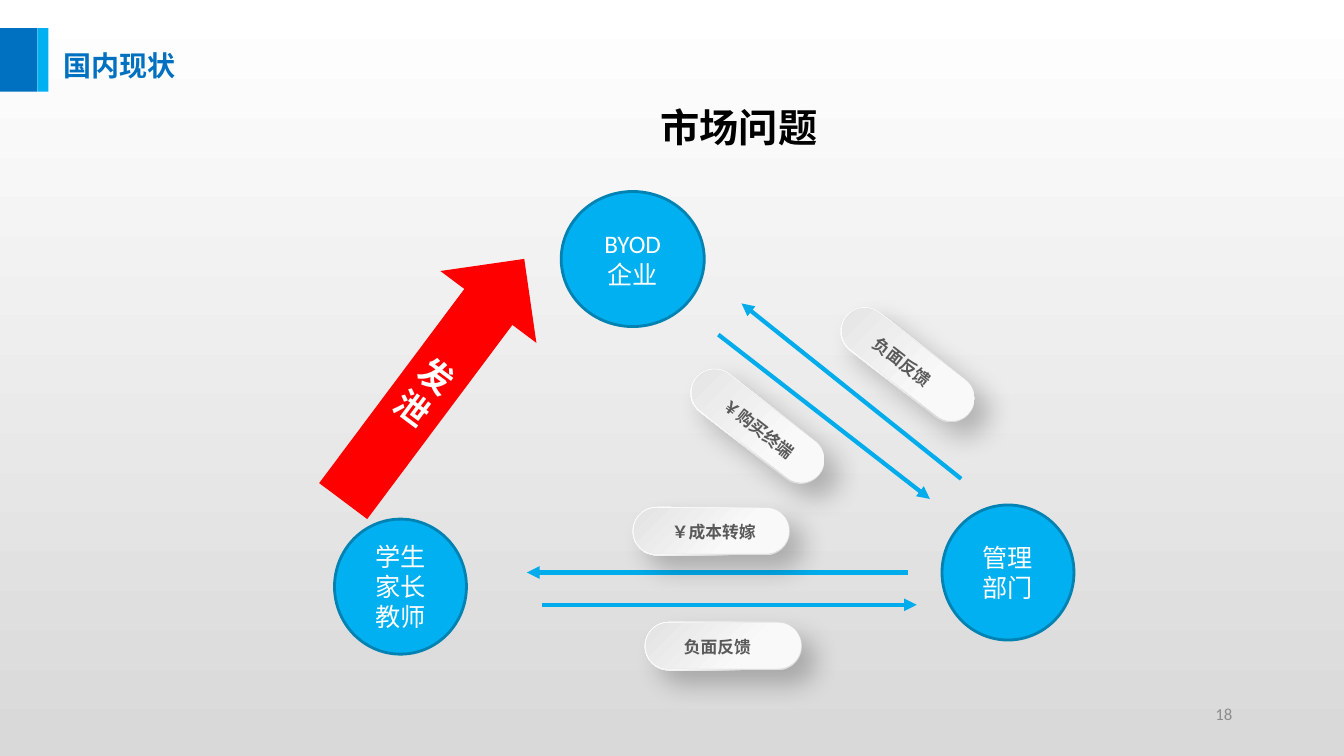
from lxml import etree
from pptx import Presentation
from pptx.dml.color import RGBColor
from pptx.enum import shapes as kinds, text as txt
from pptx.oxml.ns import qn
from pptx.util import Inches, Pt

CJK = "Noto Sans CJK SC"
CENTER = txt.PP_ALIGN.CENTER


def write(shape, content, size, color, font="Calibri", bold=False, align=None,
          anchor=txt.MSO_ANCHOR.TOP, spacing=None):
    """Fill a shape with wrapped text in one style, CJK glyphs included."""
    frame = shape.text_frame
    frame.text = content
    frame.word_wrap = True
    frame.auto_size = txt.MSO_AUTO_SIZE.NONE
    frame.vertical_anchor = anchor
    for paragraph in frame.paragraphs:
        paragraph.alignment = align
        paragraph.line_spacing = spacing
        for run in paragraph.runs:
            run.font.size = Pt(size)
            run.font.bold = bold
            run.font.name = font
            run.font.color.rgb = RGBColor.from_string(color)
            etree.SubElement(run._r.rPr, qn("a:ea"), typeface=CJK)


def set_gradient(element, stops, angle):
    """Replace the stops (percent, colour) and clockwise angle of a gradient."""
    gradient = element.find(".//" + qn("a:gradFill"))
    stop_list = gradient.find(qn("a:gsLst"))
    for old_stop in list(stop_list):
        stop_list.remove(old_stop)
    for percent, color in stops:
        stop = etree.SubElement(stop_list, qn("a:gs"), pos=str(percent * 1000))
        etree.SubElement(stop, qn("a:srgbClr"), val=color)
    gradient.find(qn("a:lin")).set("ang", str(angle * 60000))


prs = Presentation()
prs.slide_width, prs.slide_height = Inches(13.34), Inches(7.5)
slide = prs.slides.add_slide(prs.slide_layouts[5])
slide.background.fill.gradient()
set_gradient(slide._element, [(0, "FFFFFF"), (99, "D9D9D9")], 90)

# Header and page number
title = slide.shapes.title
title.left, title.top = Inches(0.53), Inches(0.43)
title.width, title.height = Inches(4.33), Inches(0.44)
write(title, "国内现状", 20, "0070C0", CJK, True, txt.PP_ALIGN.LEFT)

for left, width, color in [(0.37, 0.11, "00B0F0"), (0, 0.37, "0070C0")]:
    bar = slide.shapes.add_shape(kinds.MSO_SHAPE.RECTANGLE, Inches(left), Inches(0.28),
                                 Inches(width), Inches(0.63))
    bar.shadow.inherit = False
    bar.fill.solid()
    bar.fill.fore_color.rgb = RGBColor.from_string(color)
    bar.line.fill.background()

heading = slide.shapes.add_textbox(Inches(4), Inches(0.98), Inches(6.67), Inches(0.57))
write(heading, "市场问题", 28, "000000", bold=True, align=CENTER)

page_number = slide.shapes.add_textbox(Inches(9.22), Inches(6.88), Inches(3.11), Inches(0.4))
write(page_number, "18", 12, "8C8C8C", align=txt.PP_ALIGN.RIGHT, anchor=txt.MSO_ANCHOR.MIDDLE)

# Parties in the market
for label, left, top, width in [("BYOD企业", 5.57, 1.9, 1.42),
                                ("管理部门", 9.35, 5.01, 1.31),
                                ("学生家长\n教师", 3.32, 5.15, 1.31)]:
    party = slide.shapes.add_shape(kinds.MSO_SHAPE.OVAL, Inches(left), Inches(top),
                                   Inches(width), Inches(1.34))
    party.shadow.inherit = False
    party.fill.solid()
    party.fill.fore_color.rgb = RGBColor.from_string("00B0F0")
    party.line.color.rgb = RGBColor.from_string("0082B2")
    party.line.width = Pt(2)
    write(party, label, 18, "FFFFFF", align=CENTER, anchor=txt.MSO_ANCHOR.MIDDLE)

# Flows between the parties
for x1, y1, x2, y2 in [(7.13, 3.32, 9.23, 4.95), (9.01, 5.68, 5.23, 5.68),
                       (5.38, 6, 9.1, 6), (9.54, 4.75, 7.36, 3.01)]:
    flow = slide.shapes.add_connector(kinds.MSO_CONNECTOR.STRAIGHT, Inches(x1), Inches(y1),
                                      Inches(x2), Inches(y2))
    flow.line.color.rgb = RGBColor.from_string("00ACEB")
    flow.line.width = Pt(3)
    etree.SubElement(flow.line._get_or_add_ln(), qn("a:tailEnd"), type="triangle")
    etree.SubElement(flow._element.spPr, qn("a:effectLst"))

# Flow labels: a shaded rim, a lighter face and the caption, turned as one group
RIM = [(1, "DEDEDE"), (30, "E0E0E0"), (61, "F6F6F6"), (100, "FFFFFF")]
FACE = [(0, "E3E3E3"), (67, "F9F9F9")]
for caption, left, top, turn in [("￥购买终端", 6.74, 3.99, 37.8), ("负面反馈", 8.23, 3.38, 37.8),
                                 ("负面反馈", 6.4, 6.17, 0), ("￥成本转嫁", 6.28, 5.03, 0)]:
    pill = slide.shapes.add_group_shape()
    for inset, width, height, stops, angle in [(0, 1.56, 0.48, RIM, 225),
                                               (0.01, 1.54, 0.45, FACE, 45)]:
        layer = pill.shapes.add_shape(kinds.MSO_SHAPE.ROUNDED_RECTANGLE, Inches(left + inset),
                                      Inches(top + inset), Inches(width), Inches(height))
        layer.adjustments[0] = 0.5
        layer.line.fill.background()
        layer.fill.gradient()
        set_gradient(layer._element, stops, angle)
        layer.shadow.inherit = False
        if stops is RIM:
            effects = layer._element.spPr.find(qn("a:effectLst"))
            shadow = etree.SubElement(effects, qn("a:outerShdw"), blurRad=str(Pt(19)),
                                      dist=str(Pt(14)), dir=str(45 * 60000),
                                      algn="tl", rotWithShape="0")
            black = etree.SubElement(shadow, qn("a:srgbClr"), val="000000")
            etree.SubElement(black, qn("a:alpha"), val="24000")
    caption_box = pill.shapes.add_textbox(Inches(left + 0.29), Inches(top + 0.04),
                                          Inches(1.16), Inches(0.34))
    write(caption_box, caption, 12, "595959", CJK, True, spacing=1.3)
    pill.rotation = turn

# Venting arrow
venting = slide.shapes.add_shape(kinds.MSO_SHAPE.UP_ARROW, Inches(3.71), Inches(2.27),
                                 Inches(1.19), Inches(3))
venting.rotation = 36.8
venting.shadow.inherit = False
venting.fill.solid()
venting.fill.fore_color.rgb = RGBColor.from_string("FF0000")
venting.line.fill.background()
write(venting, "发泄", 24, "FFFFFF", CJK, True, CENTER, txt.MSO_ANCHOR.MIDDLE)

prs.save("out.pptx")
